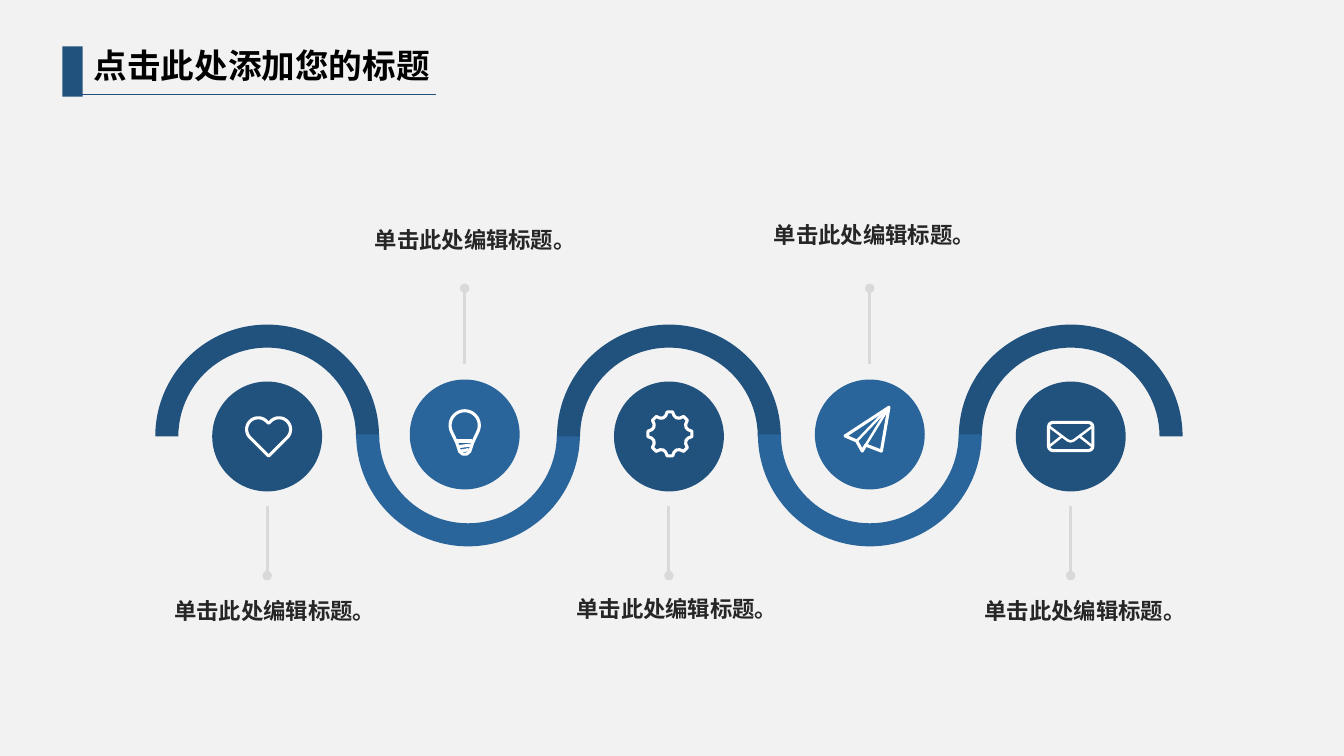
import math
import lxml.etree
import pptx
import pptx.dml.color
import pptx.enum.shapes
import pptx.enum.text
import pptx.oxml.ns
import pptx.util

KIND = pptx.enum.shapes.MSO_SHAPE
FACE = "Noto Sans CJK SC"
DARK, LIGHT, GREY, WHITE = "21517D", "29659B", "D9D9D9", "FFFFFF"
LABEL = "单击此处编辑标题。"
FIRST, PITCH = 26.5, 19.93
ARC, DISC = 11.1, 5.45


def grid(n):
    return pptx.util.Inches(n / 10)


def paint(part, hue):
    part.rgb = pptx.dml.color.RGBColor.from_string(hue)


def child(node, tag, **attrs):
    return lxml.etree.SubElement(node, pptx.oxml.ns.qn(tag), **attrs)


def find(node, tag):
    return node.find(pptx.oxml.ns.qn(tag))


def solid(slide, kind, x, y, w, h, hue):
    shape = slide.shapes.add_shape(kind, grid(x), grid(y), grid(w), grid(h))
    shape.shadow.inherit = False
    shape.fill.solid()
    paint(shape.fill.fore_color, hue)
    shape.line.fill.background()
    return shape


def rule(slide, x1, y1, x2, y2, hue, width, dot=False):
    line = slide.shapes.add_connector(
        pptx.enum.shapes.MSO_CONNECTOR.STRAIGHT,
        grid(x1), grid(y1), grid(x2), grid(y2))
    paint(line.line.color, hue)
    line.line.width = pptx.util.Pt(width)
    props = line._element.spPr
    if dot:
        child(find(props, "a:ln"), "a:headEnd", type="oval")
    child(props, "a:effectLst")


def write(box, text, size, hue):
    frame = box.text_frame
    frame.word_wrap = True
    frame.vertical_anchor = pptx.enum.text.MSO_ANCHOR.TOP
    para = frame.paragraphs[0]
    para.text = text
    para.alignment = pptx.enum.text.PP_ALIGN.LEFT
    font = para.font
    font.name, font.size, font.bold = FACE, pptx.util.Pt(size), True
    paint(font.color, hue)
    child(find(para._p.pPr, "a:defRPr"), "a:ea", typeface=FACE)


def label(slide, x, y):
    box = slide.shapes.add_textbox(grid(x), grid(y), grid(28.4), grid(3.7))
    write(box, LABEL, 16, "262626")


def polar(x, y, r, angle):
    turn = math.radians(angle)
    return x + r * math.cos(turn), y + r * math.sin(turn)


def curve(x, y, r, start, end):
    return [polar(x, y, r, start + (end - start) * i / 24) for i in range(25)]


def outline(shape, width):
    shape.shadow.inherit = False
    shape.fill.background()
    paint(shape.line.color, WHITE)
    shape.line.width = pptx.util.Pt(width)
    child(find(shape._element.spPr, "a:ln"), "a:round")


def stroke(slide, x, y, points, close=False, width=2.2):
    spots = [(grid(x + dx), grid(y + dy)) for dx, dy in points]
    form = slide.shapes.build_freeform(*spots[0])
    form.add_line_segments(spots[1:], close=close)
    outline(form.convert_to_shape(), width)


def heart(slide, x, y):
    left = curve(-1.03, -0.75, 1.15, 135, 317)
    right = [(-dx, dy) for dx, dy in reversed(left)]
    stroke(slide, x, y, left + [(0, -1.35)] + right + [(0, 1.9)], True)


def bulb(slide, x, y):
    side = [(0.8, 1.05), (0.5, 1.95), (0.2, 2.2)]
    back = [(-dx, dy) for dx, dy in reversed(side)]
    stroke(slide, x, y, curve(0, -0.65, 1.45, 155, 385) + side + back, True)
    for half, top, tilt in ((0.75, 0.9, 0), (0.6, 1.38, 0.08), (0.4, 1.83, 0.08)):
        stroke(slide, x, y, [(-half, top + tilt), (half, top - tilt)])


def gear(slide, x, y):
    tooth = ((-22.5, 1.72), (-13, 1.85), (-7, 2.2), (7, 2.2), (13, 1.85))
    rim = [polar(0, 0, r, 45 * k + turn) for k in range(8) for turn, r in tooth]
    stroke(slide, x, y, rim, True)


def plane(slide, x, y):
    tip, fold, keel = (2.15, -2.15), (-1.05, 1.2), (-0.15, 1.6)
    stroke(slide, x, y, [tip, (-2.2, 0.7), fold, (-0.5, 2.2), keel, (1.4, 2.2)], True)
    for end in (fold, keel):
        stroke(slide, x, y, [tip, end], width=1.75)


def mail(slide, x, y):
    body = slide.shapes.add_shape(
        KIND.ROUNDED_RECTANGLE, grid(x - 2.2), grid(y - 1.4), grid(4.4), grid(2.8))
    body.adjustments[0] = 0.16
    outline(body, 2.2)
    flap = [(-2.1, -0.95), (-0.3, 0.4), (0, 0.5), (0.3, 0.4), (2.1, -0.95)]
    stroke(slide, x, y, flap, width=1.75)
    for side in (-1, 1):
        stroke(slide, x, y, [(side * 2.1, 0.95), (side * 0.9, 0)], width=1.75)


def step(slide, i, shift, icon, dx, dy, tx, ty):
    low = i % 2 == 0
    hue, mid = (DARK, 43.3) if low else (LIGHT, 43.1)
    x = FIRST + PITCH * i
    arc = solid(slide, KIND.BLOCK_ARC, x - ARC, mid - ARC, 2 * ARC, 2 * ARC, hue)
    ends = (108, 0) if low else (0, 108)
    for k, value in enumerate((*ends, 0.1)):
        arc.adjustments[k] = value
    arc.adjustments[2] = 0.103
    x += shift
    solid(slide, KIND.OVAL, x - DISC, mid - DISC, 2 * DISC, 2 * DISC, hue)
    far, near = (57.1, 50.2) if low else (28.6, 36.1)
    rule(slide, x, far, x, near, GREY, 2.25, True)
    icon(slide, x + dx, mid + dy)
    label(slide, tx, ty)


def head(slide):
    solid(slide, KIND.RECTANGLE, 6.2, 4.6, 2, 5, DARK)
    rule(slide, 7.6, 9.4, 43.3, 9.4, DARK, 0.5)
    title = slide.shapes.title
    title.left, title.top = grid(8.3), grid(4)
    title.width, title.height = grid(39.2), grid(5)
    write(title, "点击此处添加您的标题", 24, "000000")


def main():
    deck = pptx.Presentation()
    deck.slide_width, deck.slide_height = grid(133.33), grid(75)
    slide = deck.slides.add_slide(deck.slide_layouts[5])
    slide.background.fill.solid()
    paint(slide.background.fill.fore_color, "F2F2F2")
    head(slide)
    for row in (
        (0, 0, heart, 0.15, 0.05, 16.3, 58.8),
        (1, -0.33, bulb, 0, -0.25, 36.2, 21.9),
        (2, 0, gear, 0.1, -0.25, 56.2, 58.6),
        (4, 0, mail, 0, 0, 96.7, 58.8),
        (3, 0, plane, -0.25, -0.55, 75.8, 21.4),
    ):
        step(slide, *row)
    deck.save("out.pptx")


if __name__ == "__main__":
    main()
